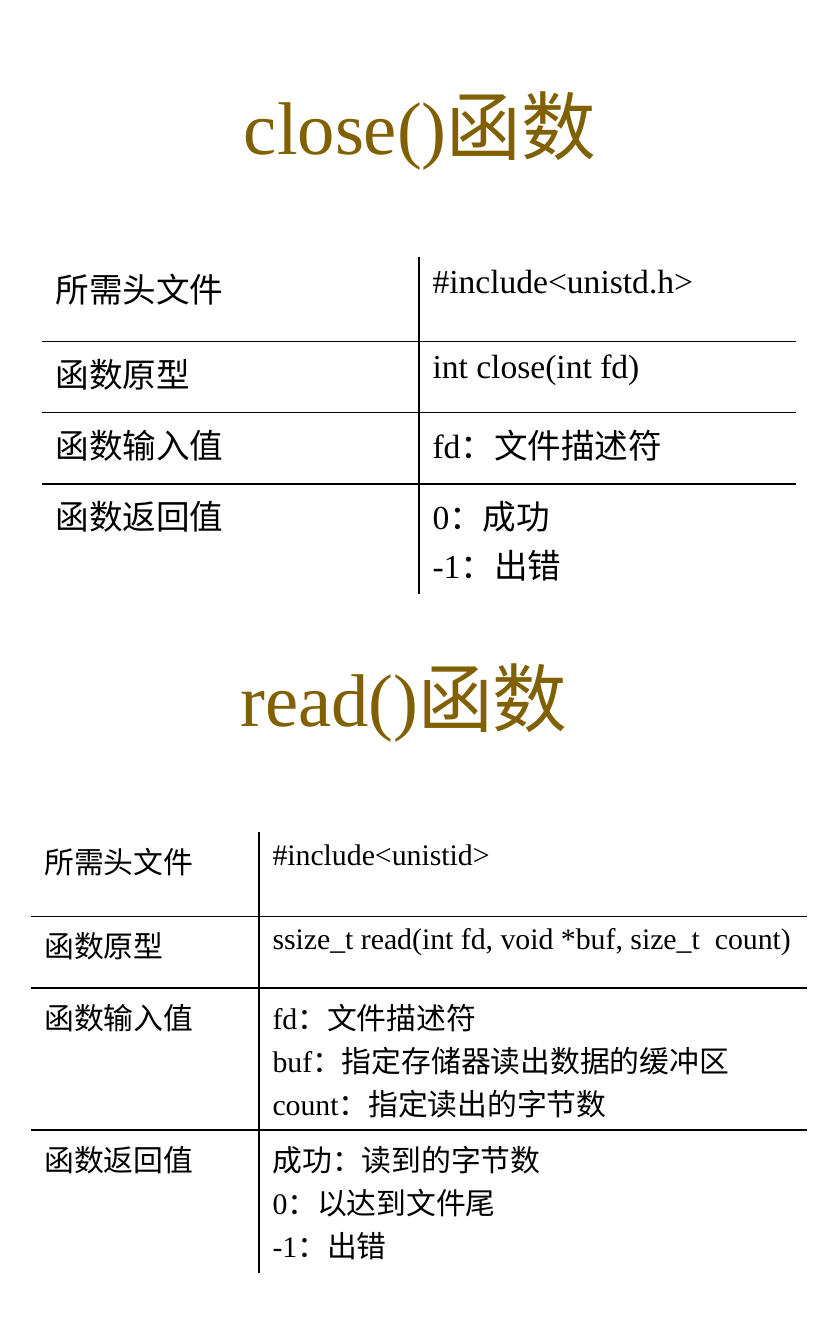
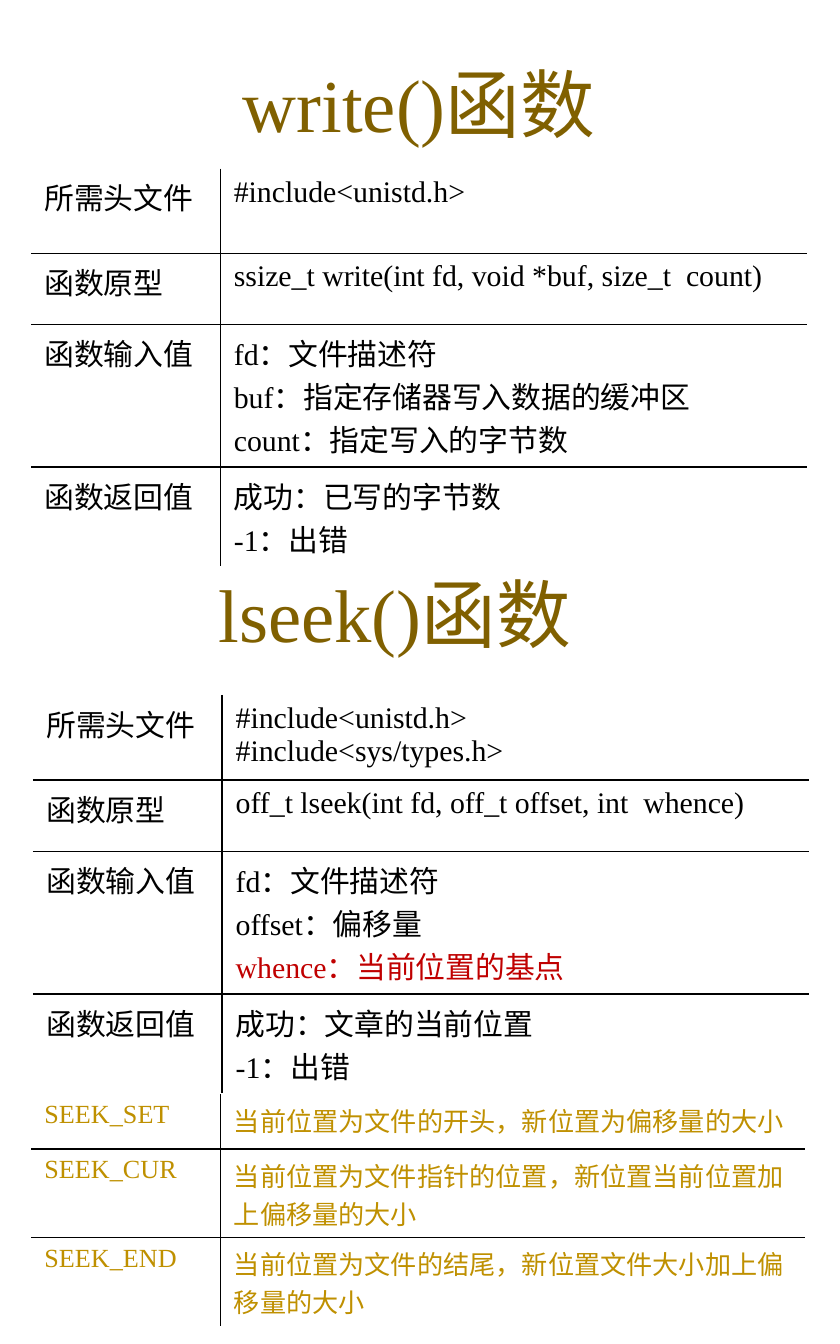
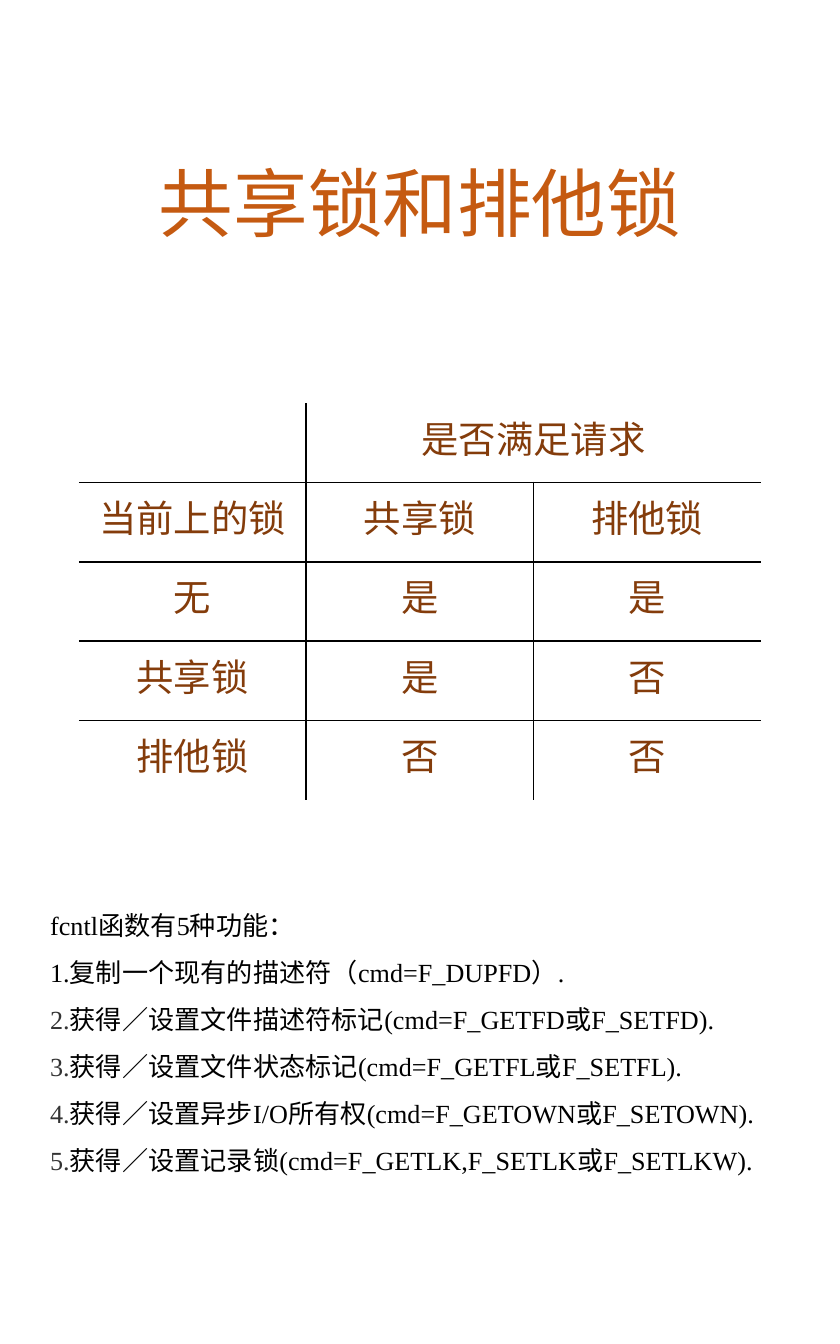
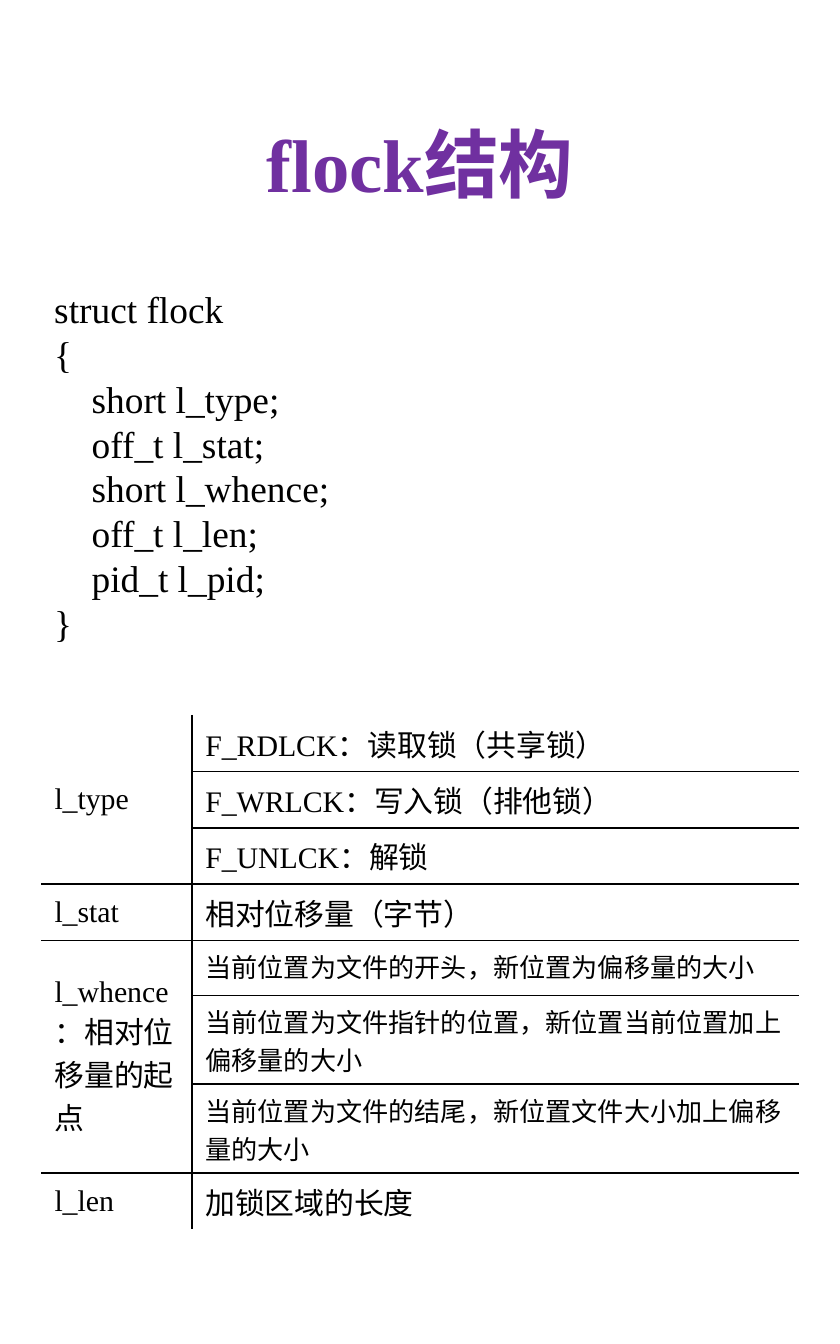
from lxml import etree
from pptx import Presentation
from pptx.dml.color import RGBColor
from pptx.enum import text
from pptx.oxml import ns
from pptx.util import Pt

COLORS = {"black": "000000", "white": "FFFFFF", "olive": "806000", "gold": "BF9000",
          "red": "C00000", "orange": "C55A11", "brown": "843C0B", "purple": "7030A0",
          "gray": "333333"}
LATIN, CJK = "Times New Roman", "Noto Sans CJK SC"

# Content: a cell is a string with one paragraph per line
LABELS = ["所需头文件", "函数原型", "函数输入值", "函数返回值"]
CLOSE = ["#include<unistd.h>", "int close(int fd)", "fd：文件描述符", "0：成功\n-1：出错"]
READ = ["#include<unistid>", "ssize_t read(int fd, void *buf, size_t  count)",
        "fd：文件描述符\nbuf：指定存储器读出数据的缓冲区\ncount：指定读出的字节数",
        "成功：读到的字节数\n0：以达到文件尾\n-1：出错"]
WRITE = ["#include<unistd.h>", "ssize_t write(int fd, void *buf, size_t  count)",
         "fd：文件描述符\nbuf：指定存储器写入数据的缓冲区\ncount：指定写入的字节数",
         "成功：已写的字节数\n-1：出错"]
WHENCE = "whence：当前位置的基点"
LSEEK = ["#include<unistd.h>\n#include<sys/types.h>",
         "off_t lseek(int fd, off_t offset, int  whence)",
         "fd：文件描述符\noffset：偏移量\n" + WHENCE, "成功：文章的当前位置\n-1：出错"]
SEEK_NAMES = ["SEEK_SET", "SEEK_CUR", "SEEK_END"]
SEEK_MEANINGS = ["当前位置为文件的开头，新位置为偏移量的大小",
                 "当前位置为文件指针的位置，新位置当前位置加上偏移量的大小",
                 "当前位置为文件的结尾，新位置文件大小加上偏移量的大小"]
LOCKS = [("", "是否满足请求", ""), ("当前上的锁", "共享锁", "排他锁"), ("无", "是", "是"),
         ("共享锁", "是", "否"), ("排他锁", "否", "否")]
FCNTL_HEAD = "fcntl函数有5种功能："
FCNTL_ITEMS = ["复制一个现有的描述符（cmd=F_DUPFD）.",
               "获得／设置文件描述符标记(cmd=F_GETFD或F_SETFD).",
               "获得／设置文件状态标记(cmd=F_GETFL或F_SETFL).",
               "获得／设置异步I/O所有权(cmd=F_GETOWN或F_SETOWN).",
               "获得／设置记录锁(cmd=F_GETLK,F_SETLK或F_SETLKW)."]
STRUCT_HEAD = ["struct flock", "{"]
STRUCT_FIELDS = ["short l_type;", "off_t l_stat;", "short l_whence;", "off_t l_len;",
                 "pid_t l_pid;"]
FLOCK = [("l_type", "F_RDLCK：读取锁（共享锁）"), ("", "F_WRLCK：写入锁（排他锁）"),
         ("", "F_UNLCK：解锁"), ("l_stat", "相对位移量（字节）"),
         ("l_whence：相对位移量的起点", SEEK_MEANINGS[0]), ("", SEEK_MEANINGS[1]),
         ("", SEEK_MEANINGS[2]), ("l_len", "加锁区域的长度")]

# Shared sizes, in points
TITLE_W, TITLE_H, TALL_TITLE_H = 388, 88, 139
FUNCTION_ROWS = [45.3, 38.2, 38.2, 38.2]
SMALL_ROW = 29.5
CELL_PADDING, CJK_LINE = 7.2, 1.44


def rgb(name):
    return RGBColor.from_string(COLORS[name])


def row_height(lines, size, least=SMALL_ROW):
    """Height that holds the given number of Chinese text lines."""
    return max(least, CELL_PADDING + lines * size * CJK_LINE)


def style(p, size, color="black", latin=LATIN, bold=False):
    f = p.font
    f.size, f.name, f.bold = Pt(size), latin, bold
    f.color.rgb = rgb(color)
    ea = etree.SubElement(f._element, ns.qn("a:ea"))
    ea.set("typeface", CJK)


def next_paragraph(tf, first):
    return tf.paragraphs[0] if first else tf.add_paragraph()


def add_box(s, left, top, width, height):
    tf = s.shapes.add_textbox(Pt(left), Pt(top), Pt(width), Pt(height)).text_frame
    tf.word_wrap = True
    return tf


def add_title(s, words, left, top, height=TITLE_H, color="olive", bold=False):
    tf = add_box(s, left, top, TITLE_W, height)
    tf.vertical_anchor = text.MSO_ANCHOR.MIDDLE
    p = tf.paragraphs[0]
    p.text, p.alignment = words, text.PP_ALIGN.CENTER
    style(p, 40, color, bold=bold)


def add_edge(cell, side, visible):
    ln = etree.SubElement(cell._tc.get_or_add_tcPr(), ns.qn("a:ln" + side), w=str(Pt(1)))
    if visible:
        fill = etree.SubElement(ln, ns.qn("a:solidFill"))
        etree.SubElement(fill, ns.qn("a:srgbClr"), val=COLORS["black"])
    else:
        etree.SubElement(ln, ns.qn("a:noFill"))


def add_grid(s, left, top, cols, heights, rows, size=16, color="black", latin=LATIN,
             align=None, merges=(), fill=None, small=(), marked=None, middle_first=False):
    """Table with rules between cells only; merges holds (row, col, rows, cols)."""
    frame = s.shapes.add_table(len(rows), len(cols), Pt(left), Pt(top),
                               Pt(sum(cols)), Pt(sum(heights)))
    table = frame.table
    table.first_row = table.horz_banding = False
    for col, width in zip(table.columns, cols):
        col.width = Pt(width)
    for row, height in zip(table.rows, heights):
        row.height = Pt(height)
    owner = {(r, c): (r, c) for r in range(len(rows)) for c in range(len(cols))}
    for r, c, down, across in merges:
        table.cell(r, c).merge(table.cell(r + down - 1, c + across - 1))
        owner.update({(r + i, c + j): (r, c) for i in range(down) for j in range(across)})

    for (r, c), own in owner.items():
        cell = table.cell(r, c)
        for side, dr, dc in (("L", 0, -1), ("R", 0, 1), ("T", -1, 0), ("B", 1, 0)):
            add_edge(cell, side, owner.get((r + dr, c + dc), own) != own)
        if fill:
            cell.fill.solid()
            cell.fill.fore_color.rgb = rgb(fill)
        else:
            cell.fill.background()
        if middle_first and c == 0:
            cell.vertical_anchor = text.MSO_ANCHOR.MIDDLE
        for i, line in enumerate(rows[r][c].split("\n")):
            p = next_paragraph(cell.text_frame, i == 0)
            p.text, p.alignment = line, align
            style(p, 14 if line in small else size,
                  "red" if line == marked else color, latin)


def add_function(s, left, top, cols, values, size=16, marked=None):
    # Latin-only code fits the least height; Chinese lines may need more
    heights = [least if value.isascii() else row_height(len(value.split("\n")), size, least)
               for value, least in zip(values, FUNCTION_ROWS)]
    add_grid(s, left, top, cols, heights, list(zip(LABELS, values)), size, marked=marked)


def add_fcntl_notes(s):
    tf = add_box(s, 19.8, 475, 410.4, 157)
    tf.auto_size = text.MSO_AUTO_SIZE.SHAPE_TO_FIT_TEXT
    for i, line in enumerate([FCNTL_HEAD] + FCNTL_ITEMS):
        p = next_paragraph(tf, i == 0)
        p.line_spacing = 1.5
        style(p, 14)
        if i:
            r = p.add_run()
            r.text = f"{i}."
            if i > 1:
                r.font.color.rgb = rgb("gray")
        p.add_run().text = line


def add_struct(s):
    tf = add_box(s, 22, 149.8, TITLE_W, 210)
    for i, line in enumerate(STRUCT_HEAD + STRUCT_FIELDS + ["}"]):
        p = next_paragraph(tf, i == 0)
        p.text, p.line_spacing = line, Pt(24)
        style(p, 20)
        if line in STRUCT_FIELDS:
            p._p.get_or_add_pPr().set("marL", str(Pt(20)))


def main():
    prs = Presentation()
    prs.slide_width, prs.slide_height = Pt(450), Pt(720)
    close_read, write_lseek, locks, flock = [
        prs.slides.add_slide(prs.slide_layouts[6]) for _ in range(4)]

    # close() and read()
    add_title(close_read, "close()函数", 31, 22.7)
    add_function(close_read, 22.5, 137.6, [202, 202], CLOSE, size=18)
    add_title(close_read, "read()函数", 22.4, 329)
    add_function(close_read, 16.6, 445.7, [122.2, 293.7], READ)

    # write() and lseek()
    narrow = [101.5, 314.5]
    seek_rows = [row_height(lines, 14) for lines in (1, 2, 2)]
    add_title(write_lseek, "write()函数", 30.5, 11)
    add_function(write_lseek, 16.6, 90.4, narrow, WRITE)
    add_title(write_lseek, "lseek()函数", 17.4, 284.4)
    add_function(write_lseek, 17.6, 372.3, narrow, LSEEK, marked=WHENCE)
    add_grid(write_lseek, 16.6, 586, [101.5, 313.2], seek_rows,
             list(zip(SEEK_NAMES, SEEK_MEANINGS)), size=14, color="gold")

    # Shared and exclusive locks
    add_title(locks, "共享锁和排他锁", 31, 38.5, TALL_TITLE_H, "orange")
    add_grid(locks, 42.3, 216, [121.8] * 3, [42.5] * 5, LOCKS, size=20, color="brown",
             latin=CJK, align=text.PP_ALIGN.CENTER, merges=[(0, 1, 1, 2)], fill="white")
    add_fcntl_notes(locks)

    # The flock structure
    flock_rows = [row_height(1, 16)] * 4 + seek_rows + [row_height(1, 16)]
    add_title(flock, "flock结构", 31, 17.7, TALL_TITLE_H, "purple", bold=True)
    add_struct(flock)
    add_grid(flock, 22, 383, [80.8, 325.4], flock_rows, FLOCK,
             merges=[(0, 0, 3, 1), (4, 0, 3, 1)], small=SEEK_MEANINGS, middle_first=True)

    prs.save("out.pptx")


if __name__ == "__main__":
    main()
